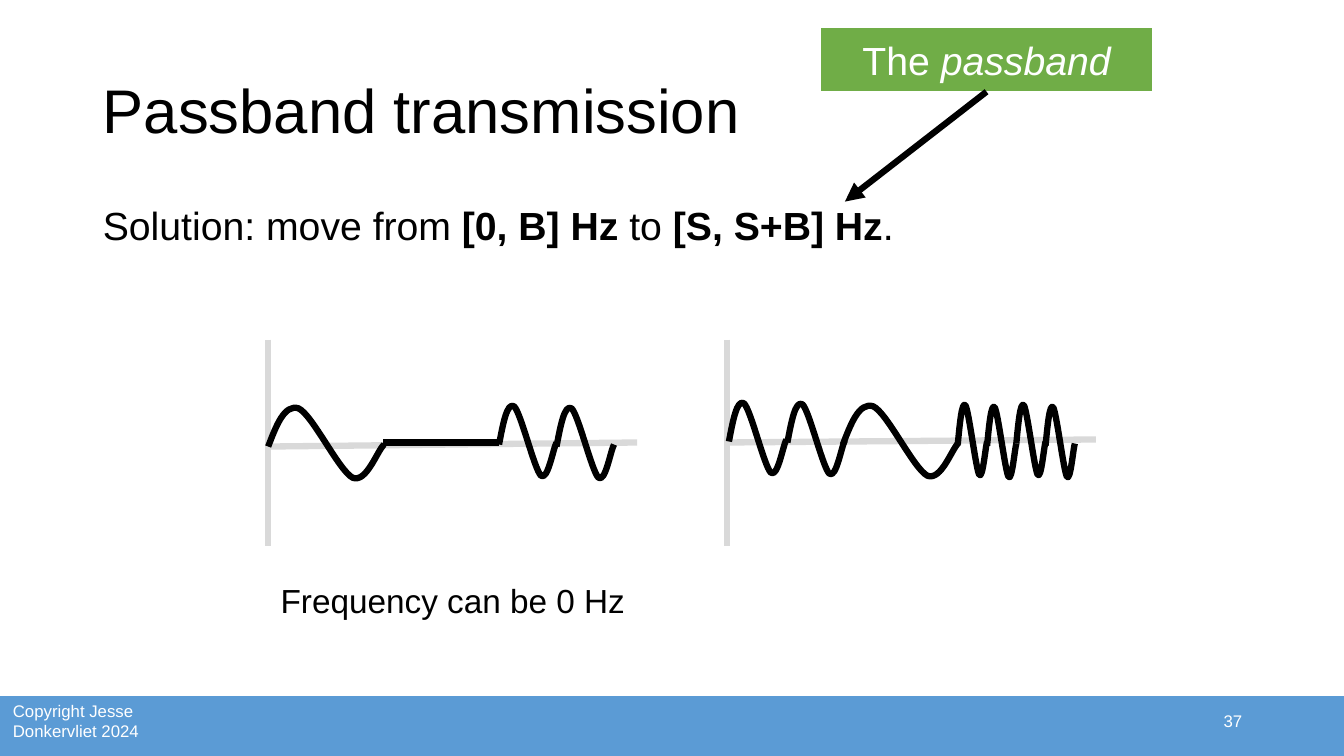
from dataclasses import dataclass

from lxml.etree import SubElement
from pptx import Presentation
from pptx.dml.color import RGBColor
from pptx.enum.shapes import MSO_CONNECTOR, MSO_SHAPE
from pptx.enum.text import MSO_ANCHOR, MSO_AUTO_SIZE, PP_ALIGN
from pptx.oxml.ns import qn
from pptx.util import Inches, Pt

BLACK = RGBColor(0x00, 0x00, 0x00)
WHITE = RGBColor(0xFF, 0xFF, 0xFF)
AXIS_GRAY = RGBColor(0xD9, 0xD9, 0xD9)
FOOTER_BLUE = RGBColor(0x5B, 0x9B, 0xD5)
LABEL_GREEN = RGBColor(0x70, 0xAD, 0x47)

STROKE = 4.5
WAVE_CURVES = [
    [(0.07, -0.21), (0.14, -0.42), (0.26, -0.38)],
    [(0.38, -0.32), (0.61, 0.24), (0.73, 0.31)],
    [(0.85, 0.36), (0.94, 0.04), (1, -0.02)],
]


@dataclass
class Box:
    left: float
    top: float
    width: float
    height: float

    def lengths(self):
        return [Inches(side) for side in (self.left, self.top, self.width, self.height)]


def place(shape, box):
    shape.left, shape.top, shape.width, shape.height = box.lengths()


def write(shape, spans, size, color, align=PP_ALIGN.LEFT, anchor=MSO_ANCHOR.MIDDLE):
    frame = shape.text_frame
    frame.word_wrap = True
    frame.auto_size = MSO_AUTO_SIZE.NONE
    frame.vertical_anchor = anchor
    para = frame.paragraphs[0]
    para.alignment = align
    for text, style in spans:
        span = para.add_run()
        span.text = text
        span.font.name = "Arial"
        span.font.size = Pt(size)
        span.font.color.rgb = color
        span.font.bold = style == "bold"
        span.font.italic = style == "italic"
    return para


def add_rectangle(shapes, box, fill, outlined=True):
    rectangle = shapes.add_shape(MSO_SHAPE.RECTANGLE, *box.lengths())
    rectangle.shadow.inherit = False
    rectangle.fill.solid()
    rectangle.fill.fore_color.rgb = fill
    if outlined:
        rectangle.line.color.rgb = WHITE
        rectangle.line.width = Pt(1.5)
    else:
        rectangle.line.fill.background()
    return rectangle


def add_line(shapes, start, end, color):
    ends = [Inches(value) for value in (*start, *end)]
    line = shapes.add_connector(MSO_CONNECTOR.STRAIGHT, *ends)
    line.line.color.rgb = color
    line.line.width = Pt(STROKE)
    SubElement(line._element.spPr, qn("a:effectLst"))
    return line


def add_wave(shapes, left, middle, width):
    curves = [
        [(Inches(left + x * width), Inches(middle + y)) for x, y in curve]
        for curve in WAVE_CURVES
    ]
    builder = shapes.build_freeform(Inches(left), Inches(middle))
    builder.add_line_segments([curve[-1] for curve in curves], close=False)
    wave = builder.convert_to_shape()
    segments = list(wave._element.iter(qn("a:lnTo")))
    for segment, curve in zip(segments, curves):
        segment.tag = qn("a:cubicBezTo")
        segment.remove(segment[0])
        for x, y in curve:
            SubElement(segment, qn("a:pt"), x=str(x - wave.left), y=str(y - wave.top))
    wave.shadow.inherit = False
    wave.fill.background()
    wave.line.color.rgb = BLACK
    wave.line.width = Pt(STROKE)


def add_signal(shapes, box, axis_start, axis_end, waves):
    bottom = box.top + box.height
    add_line(shapes, (box.left, box.top), (box.left, bottom), AXIS_GRAY)
    add_line(
        shapes,
        (box.left, box.top + axis_start),
        (box.left + box.width, box.top + axis_end),
        AXIS_GRAY,
    )
    for offset, middle, width in waves:
        add_wave(shapes, box.left + offset, box.top + middle, width)


def add_baseband(page, box):
    shapes = page.shapes.add_group_shape().shapes
    waves = [(0, 1.06, 1.15), (2.29, 1.04, 0.57), (2.86, 1.06, 0.57)]
    add_signal(shapes, box, 1.06, 1.02, waves)
    level = box.top + 1.02
    add_line(shapes, (box.left + 1.14, level), (box.left + 2.29, level), BLACK)
    caption_box = Box(box.left, box.top + 2.26, box.width, 0.64)
    caption = add_rectangle(shapes, caption_box, WHITE, outlined=False)
    write(caption, [("Frequency can be 0 Hz", "")], 23.8, BLACK, PP_ALIGN.CENTER)


def add_passband(page, box):
    shapes = page.shapes.add_group_shape().shapes
    waves = [(0.02, 1.01, 0.57), (0.6, 1.02, 0.57), (1.15, 1.04, 1.15)]
    waves += [
        (2.29 + 0.29 * index, 1.03 + 0.02 * (index % 2), 0.29) for index in range(4)
    ]
    add_signal(shapes, box, 1.02, 0.99, waves)


def add_footer(page, box):
    add_rectangle(page.shapes, box, FOOTER_BLUE)
    notice_box = Box(box.left + 0.34, box.top + 0.03, 1.47, 0.47)
    notice = page.shapes.add_textbox(*notice_box.lengths())
    write(notice, [("Copyright Jesse Donkervliet 2024", "")], 12, WHITE)
    number_box = Box(box.left + 9.73, box.top + 0.06, 3, 0.4)
    number = page.shapes.add_textbox(*number_box.lengths())
    write(number, [("37", "")], 12, WHITE, PP_ALIGN.RIGHT)


def add_heading(page, box):
    title = page.shapes.title
    place(title, box)
    write(title, [("Passband transmission", "")], 44, BLACK).line_spacing = 0.9


def add_solution(page, box):
    body = page.placeholders[1]
    place(body, box)
    spans = [
        ("Solution: move from ", ""),
        ("[0, B] Hz", "bold"),
        (" to ", ""),
        ("[S, S+B] Hz", "bold"),
        (".", ""),
    ]
    para = write(body, spans, 28, BLACK, anchor=MSO_ANCHOR.TOP)
    para.line_spacing = 0.9
    para.space_before = Pt(0)
    properties = para._p.get_or_add_pPr()
    properties.set("marL", "0")
    properties.set("indent", "0")
    SubElement(properties, qn("a:buNone"))


def add_callout(page, box):
    label = add_rectangle(page.shapes, box, LABEL_GREEN)
    spans = [("The ", ""), ("passband", "italic")]
    write(label, spans, 28, WHITE, PP_ALIGN.CENTER)
    start = (box.left + box.width / 2, box.top + box.height)
    arrow = add_line(page.shapes, start, (box.left + 0.25, box.top + 1.73), BLACK)
    arrow.begin_connect(label, 2)
    SubElement(arrow.line._get_or_add_ln(), qn("a:tailEnd"), type="triangle")


def main():
    deck = Presentation()
    deck.slide_width = Inches(13.33)
    deck.slide_height = Inches(7.5)
    page = deck.slides.add_slide(deck.slide_layouts[1])
    add_footer(page, Box(-0.31, 6.89, 13.95, 0.81))
    add_heading(page, Box(0.92, 0.4, 11.5, 1.45))
    add_solution(page, Box(0.92, 2, 11.5, 4.76))
    add_callout(page, Box(8.13, 0.27, 3.31, 0.64))
    add_baseband(page, Box(2.66, 3.37, 3.66, 2.05))
    add_passband(page, Box(7.21, 3.37, 3.66, 2.05))
    deck.save("out.pptx")


if __name__ == "__main__":
    main()
